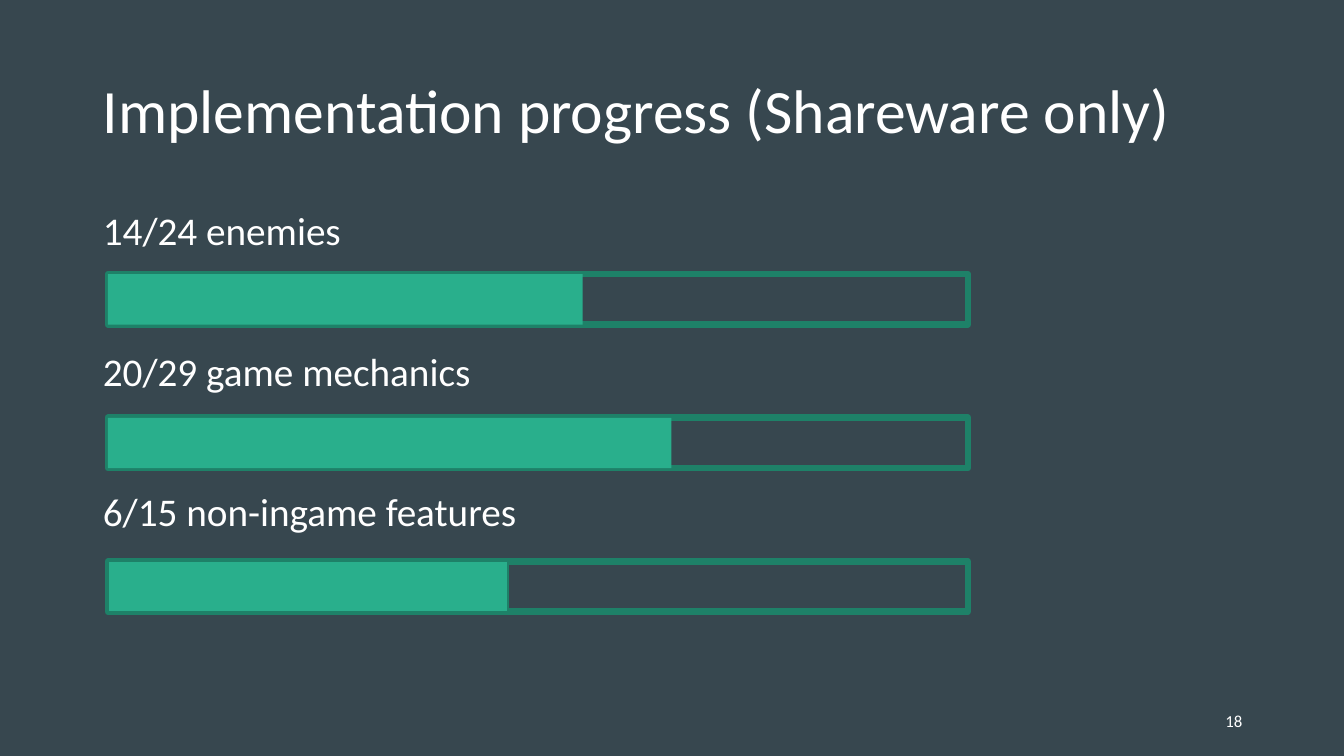
import pptx
import pptx.dml.color
import pptx.enum.shapes
import pptx.enum.text
import pptx.util
from pptx.util import Inches

SLATE = pptx.dml.color.RGBColor(0x37, 0x47, 0x4F)
WHITE = pptx.dml.color.RGBColor(0xFF, 0xFF, 0xFF)
GREEN = pptx.dml.color.RGBColor(0x29, 0xAF, 0x8C)
DARK_GREEN = pptx.dml.color.RGBColor(0x1E, 0x81, 0x68)

# label, width of the filled part, outline of the filled part in points
PROGRESS = [
    ("14/24 enemies", 4.71, 0),
    ("20/29 game mechanics", 5.59, 0),
    ("6/15 non-ingame features", 3.97, 1),
]
BAR_LEFT, BAR_WIDTH, BAR_HEIGHT = 1.07, 8.53, 0.5
FIRST_BAR_TOP, LAST_BAR_TOP = 2.72, 5.57
LABEL_GAP = 66.5


def place(box, left, top, width, height):
    box.left, box.top = Inches(left), Inches(top)
    box.width, box.height = Inches(width), Inches(height)


def prepare_frame(box, anchor):
    frame = box.text_frame
    frame.word_wrap = True
    frame.auto_size = pptx.enum.text.MSO_AUTO_SIZE.NONE
    frame.vertical_anchor = anchor
    return frame


def write(para, text, size, align=pptx.enum.text.PP_ALIGN.LEFT):
    para.alignment = align
    span = para.add_run()
    span.text = text
    span.font.name = "Calibri"
    span.font.size = pptx.util.Pt(size)
    span.font.color.rgb = WHITE


def remove_bullet(para):
    properties = para._p.get_or_add_pPr()
    properties.set("marL", "0")
    properties.set("indent", "0")
    properties.append(pptx.oxml.parse_xml(
        '<a:buNone xmlns:a="http://schemas.openxmlformats.org/drawingml/2006/main"/>'))


def add_title(page, text):
    title = page.shapes.title
    place(title, 0.92, 0.4, 11.5, 1.45)
    para = prepare_frame(title, pptx.enum.text.MSO_ANCHOR.MIDDLE).paragraphs[0]
    para.line_spacing = 0.9
    write(para, text, 44)


def add_labels(page, labels):
    body = page.placeholders[1]
    place(body, 0.92, 2, 11.5, 4.76)
    frame = prepare_frame(body, pptx.enum.text.MSO_ANCHOR.TOP)
    for index, label in enumerate(labels):
        para = frame.add_paragraph() if index else frame.paragraphs[0]
        remove_bullet(para)
        para.line_spacing = 1.0
        para.space_before = pptx.util.Pt(LABEL_GAP if index else 0)
        write(para, label, 28)


def add_bar(page, top, width, fill, outline):
    """Add a rectangle; a fill of None or an outline of 0 leaves that part out."""
    bar = page.shapes.add_shape(
        pptx.enum.shapes.MSO_SHAPE.RECTANGLE,
        Inches(BAR_LEFT), Inches(top), Inches(width), Inches(BAR_HEIGHT))
    bar.shadow.inherit = False
    if fill is None:
        bar.fill.background()
    else:
        bar.fill.solid()
        bar.fill.fore_color.rgb = fill
    if outline:
        bar.line.color.rgb = DARK_GREEN
        bar.line.width = pptx.util.Pt(outline)
    else:
        bar.line.fill.background()


def add_page_number(page, number):
    box = page.shapes.add_textbox(Inches(9.42), Inches(6.95), Inches(3), Inches(0.4))
    frame = prepare_frame(box, pptx.enum.text.MSO_ANCHOR.MIDDLE)
    write(frame.paragraphs[0], number, 12, pptx.enum.text.PP_ALIGN.RIGHT)


def main():
    deck = pptx.Presentation()
    deck.slide_width, deck.slide_height = Inches(13.33), Inches(7.5)
    page = deck.slides.add_slide(deck.slide_layouts[1])
    page.background.fill.solid()
    page.background.fill.fore_color.rgb = SLATE

    add_title(page, "Implementation progress (Shareware only)")
    add_labels(page, [label for label, _, _ in PROGRESS])
    pitch = (LAST_BAR_TOP - FIRST_BAR_TOP) / (len(PROGRESS) - 1)
    for index, (_, done_width, done_outline) in enumerate(PROGRESS):
        top = FIRST_BAR_TOP + index * pitch
        add_bar(page, top, BAR_WIDTH, None, 4.75)
        add_bar(page, top, done_width, GREEN, done_outline)
    add_page_number(page, "18")
    deck.save("out.pptx")


if __name__ == "__main__":
    main()
